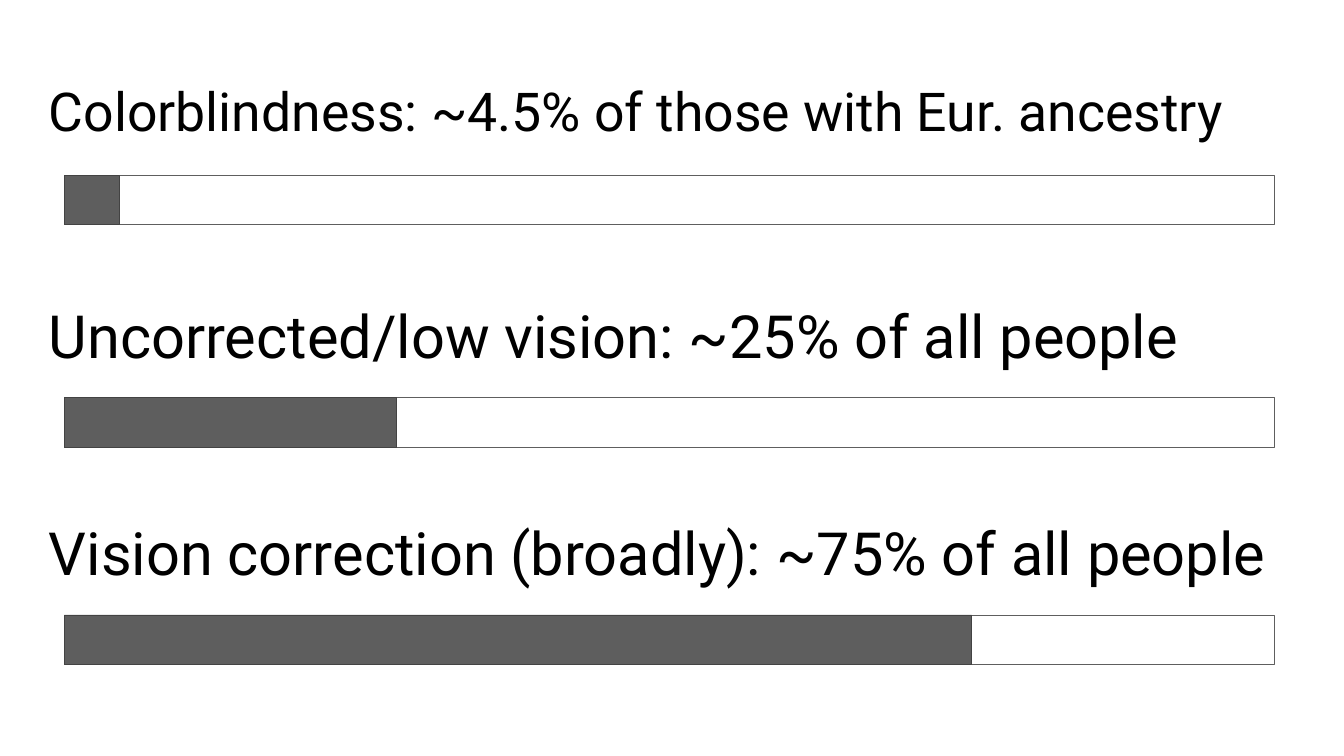
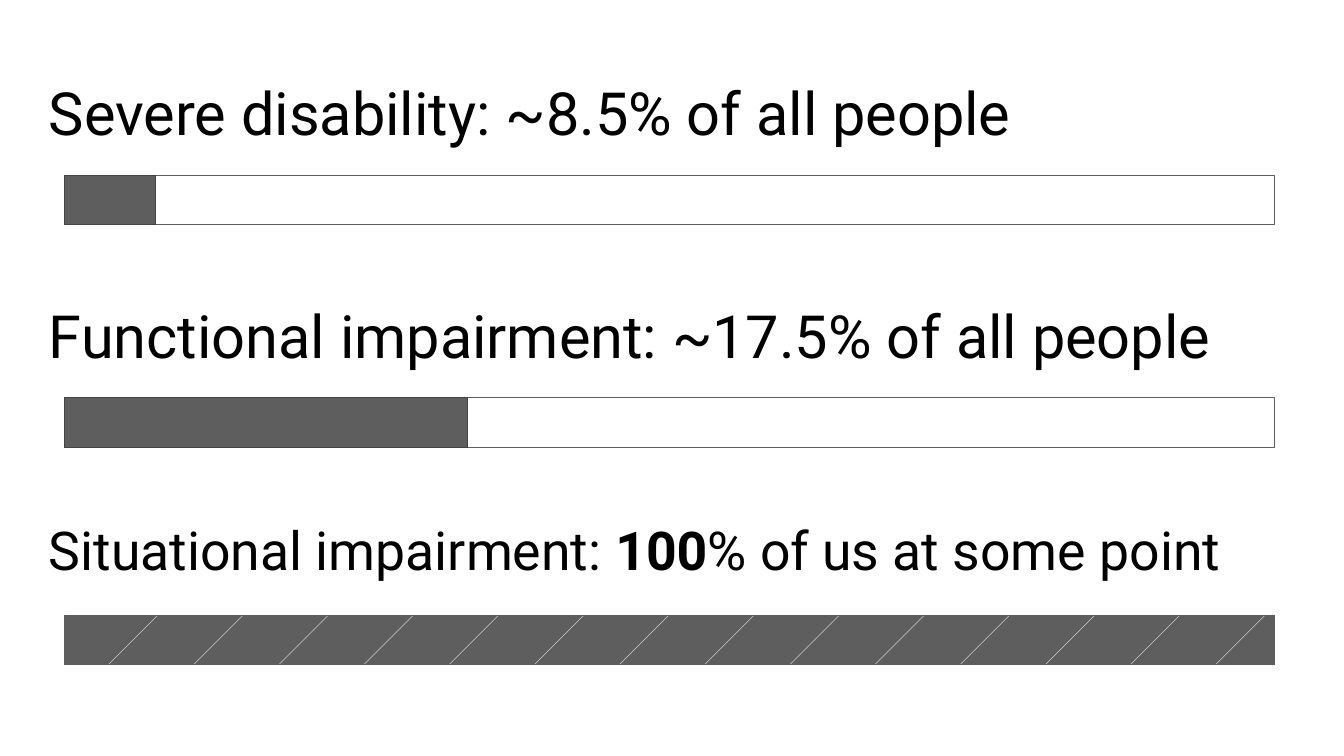
"""Build two slides of labelled bars on how common impairments are."""
import dataclasses

import lxml.etree
import pptx
import pptx.dml.color
import pptx.enum.shapes
import pptx.enum.text
import pptx.oxml.ns
import pptx.util

Inches = pptx.util.Inches
Pt = pptx.util.Pt


@dataclasses.dataclass(frozen=True)
class Theme:
    font: str = "Roboto"
    text: str = "000000"
    paper: str = "FFFFFF"
    bar: str = "5E5E5E"
    bar_edge: str = "434343"
    stripe: str = "CCCCCC"
    large: float = 85
    small: float = 76.5
    line_width: float = 0.75


LABEL_LEFT, LABEL_WIDTH, LABEL_HEIGHT = 0.91, 24.85, 1.67
LABEL_TOPS = (1.73, 6.14, 10.45)
LABEL_TO_BAR = 1.75
BAR_LEFT, BAR_WIDTH, BAR_HEIGHT = 1.28, 24, 0.98
STRIPE_COUNT, STRIPE_PITCH, STRIPE_SIZE = 14, 1.69, 1.33
STRIPE_INDENT, STRIPE_RISE = 0.64, 0.11
MASK_ABOVE, MASK_BELOW = 0.2, 0.41

SLIDES = (
    (
        (["Colorblindness: ~4.5% of those with Eur. ancestry"], "small", 1.09),
        (["Uncorrected/low vision: ~25% of all people"], "large", 6.59),
        (["Vision correction (broadly): ~75% of all people"], "large", 18),
    ),
    (
        (["Severe disability: ~8.5% of all people"], "large", 1.81),
        (["Functional impairment: ~17.5% of all people"], "large", 8),
        (["Situational impairment: ", "100", "% of us at some point"], "small", BAR_WIDTH),
    ),
)


class Deck:
    """Hold the theme and the current slide, and draw each kind of element."""

    def __init__(self, theme):
        self.theme = theme
        self.presentation = pptx.Presentation()
        self.presentation.slide_width = Inches(26.67)
        self.presentation.slide_height = Inches(15)
        self.slide = None

    def add_slide(self):
        self.slide = self.presentation.slides.add_slide(self.presentation.slide_layouts[6])
        fill = self.slide.background.fill
        fill.solid()
        fill.fore_color.rgb = self.color(self.theme.paper)

    def color(self, value):
        return pptx.dml.color.RGBColor.from_string(value)

    def label(self, top, texts, size):
        """Write one heading line; every second run is bold."""
        box = self.slide.shapes.add_textbox(
            Inches(LABEL_LEFT), Inches(top), Inches(LABEL_WIDTH), Inches(LABEL_HEIGHT))
        frame = box.text_frame
        frame_format = {
            "word_wrap": True,
            "vertical_anchor": pptx.enum.text.MSO_ANCHOR.TOP,
            **{f"margin_{side}": Inches(0.06) for side in ("left", "top", "right", "bottom")},
        }
        for name, value in frame_format.items():
            setattr(frame, name, value)
        paragraph = frame.paragraphs[0]
        paragraph.line_spacing = 0.8
        for index, text in enumerate(texts):
            run = paragraph.add_run()
            run.text = text
            run_format = {"name": self.theme.font, "size": Pt(size), "bold": index % 2 == 1}
            for name, value in run_format.items():
                setattr(run.font, name, value)
            run.font.color.rgb = self.color(self.theme.text)

    def rectangle(self, group, top, width, height, fill=None, line=None):
        """Draw a rectangle that starts at the left edge of the bars."""
        shape = group.shapes.add_shape(
            pptx.enum.shapes.MSO_SHAPE.RECTANGLE,
            Inches(BAR_LEFT), Inches(top), Inches(width), Inches(height))
        shape.shadow.inherit = False
        if fill:
            shape.fill.solid()
            shape.fill.fore_color.rgb = self.color(fill)
        else:
            shape.fill.background()
        if line:
            shape.line.color.rgb = self.color(line)
            shape.line.width = Pt(self.theme.line_width)
        else:
            shape.line.fill.background()

    def stripe(self, group, left, bottom):
        """Draw one diagonal line rising to the right."""
        connector = group.shapes.add_connector(
            pptx.enum.shapes.MSO_CONNECTOR.STRAIGHT,
            Inches(left), Inches(bottom),
            Inches(left + STRIPE_SIZE), Inches(bottom - STRIPE_SIZE))
        connector.line.color.rgb = self.color(self.theme.stripe)
        connector.line.width = Pt(self.theme.line_width)
        properties = connector._element.spPr
        lxml.etree.SubElement(properties, pptx.oxml.ns.qn("a:effectLst"))

    def partial_bar(self, top, filled):
        """Draw an outlined bar with its left part filled."""
        group = self.slide.shapes.add_group_shape()
        theme = self.theme
        self.rectangle(group, top, BAR_WIDTH, BAR_HEIGHT, theme.paper, theme.bar)
        self.rectangle(group, top, filled, BAR_HEIGHT, theme.bar, theme.bar_edge)

    def striped_bar(self, top):
        """Draw a full bar with diagonal stripes trimmed to its edges."""
        group = self.slide.shapes.add_group_shape()
        theme = self.theme
        self.rectangle(group, top, BAR_WIDTH, BAR_HEIGHT, theme.bar, theme.bar)
        for index in range(STRIPE_COUNT):
            left = BAR_LEFT + STRIPE_INDENT + index * STRIPE_PITCH
            self.stripe(group, left, top - STRIPE_RISE + STRIPE_SIZE)
        self.rectangle(group, top + BAR_HEIGHT, BAR_WIDTH, MASK_BELOW, theme.paper)
        self.rectangle(group, top - MASK_ABOVE, BAR_WIDTH, MASK_ABOVE, theme.paper)
        self.rectangle(group, top, BAR_WIDTH, BAR_HEIGHT, line=theme.bar)


def main():
    deck = Deck(Theme())
    for rows in SLIDES:
        deck.add_slide()
        for label_top, (texts, size, filled) in zip(LABEL_TOPS, rows):
            deck.label(label_top, texts, getattr(deck.theme, size))
            bar_top = label_top + LABEL_TO_BAR
            if filled == BAR_WIDTH:
                deck.striped_bar(bar_top)
            else:
                deck.partial_bar(bar_top, filled)
    deck.presentation.save("out.pptx")


if __name__ == "__main__":
    main()
